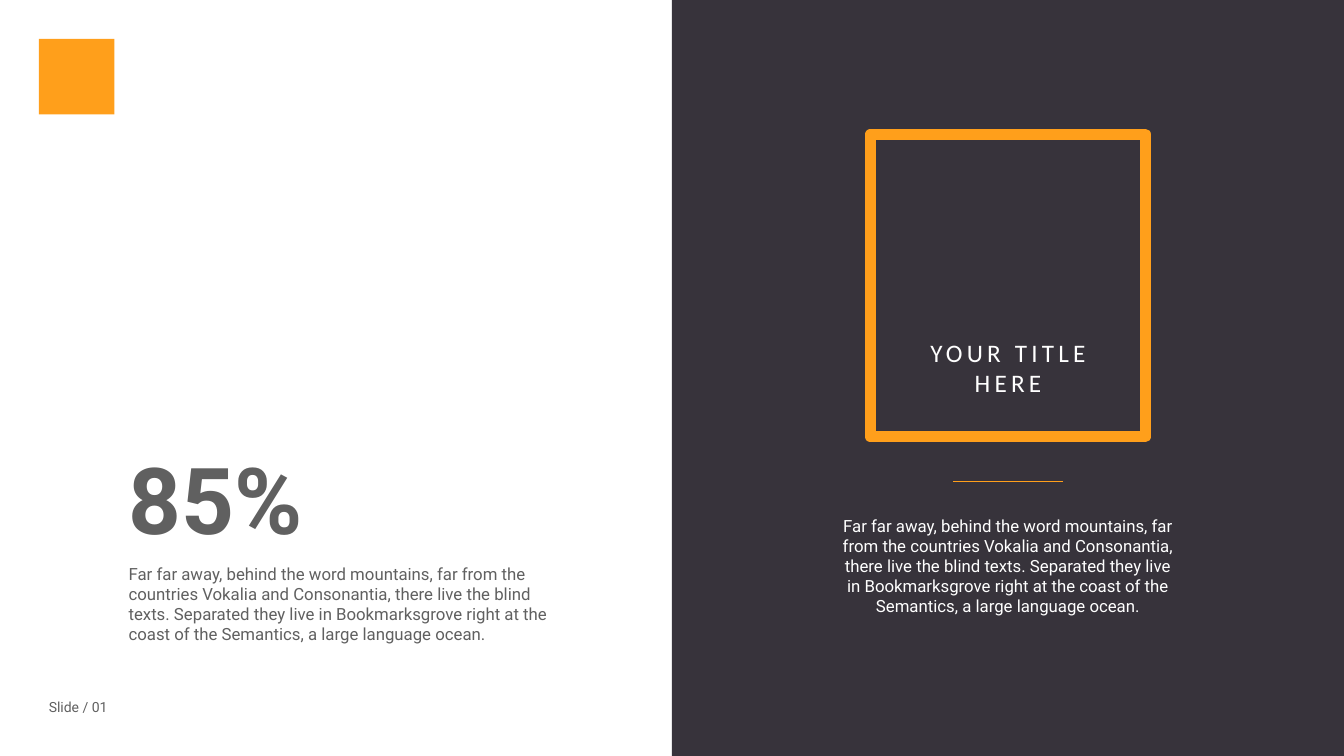
import lxml.etree
import pptx
import pptx.dml.color
import pptx.enum.shapes
import pptx.enum.text
import pptx.oxml.ns
import pptx.util
from dataclasses import dataclass

EMU_PER_PX = 9525
STORY = (
    "Far far away, behind the word mountains, far from the countries Vokalia and "
    "Consonantia, there live the blind texts. Separated they live in Bookmarksgrove "
    "right at the coast of the Semantics, a large language ocean."
)


@dataclass(frozen=True)
class Theme:
    white: str = "FFFFFF"
    dark: str = "37333B"
    accent: str = "FF9F1B"
    grey: str = "606060"
    heading_font: str = "Calibri"
    text_font: str = "Roboto"
    figure_size: int = 66
    title_size: int = 18
    body_size: int = 12
    label_size: int = 10
    title_spacing: int = 300
    frame_width: int = 8
    rule_width: float = 0.5


@dataclass(frozen=True)
class Box:
    left: int
    top: int
    width: int
    height: int

    def inner(self, left, top, width, height):
        return Box(self.left + left, self.top + top, width, height)

    def centred(self, top, width, height):
        return self.inner((self.width - width) // 2, top, width, height)

    def emu(self):
        return [px(n) for n in (self.left, self.top, self.width, self.height)]


THEME = Theme()
ALIGN = pptx.enum.text.PP_ALIGN


def px(length):
    return pptx.util.Emu(length * EMU_PER_PX)


def colour(code):
    return pptx.dml.color.RGBColor.from_string(code)


def add_rectangle(page, box, fill=None, line=None):
    shape = page.shapes.add_shape(pptx.enum.shapes.MSO_SHAPE.RECTANGLE, *box.emu())
    shape.shadow.inherit = False
    if fill:
        shape.fill.solid()
        shape.fill.fore_color.rgb = colour(fill)
    else:
        shape.fill.background()
    if line:
        shape.line.color.rgb = colour(line)
        shape.line.width = pptx.util.Pt(THEME.frame_width)
    else:
        shape.line.fill.background()
    return shape


def add_rule(page, box):
    left, top, width, height = box.emu()
    rule = page.shapes.add_connector(
        pptx.enum.shapes.MSO_CONNECTOR.STRAIGHT, left, top, left + width, top + height
    )
    rule.line.color.rgb = colour(THEME.accent)
    rule.line.width = pptx.util.Pt(THEME.rule_width)
    properties = rule.element.find(pptx.oxml.ns.qn("p:spPr"))
    lxml.etree.SubElement(properties, pptx.oxml.ns.qn("a:effectLst"))


def write(shape, text, size, ink, font=THEME.text_font, align=ALIGN.LEFT,
          bold=False, wrap=True, spacing=0):
    frame = shape.text_frame
    frame.text = text
    frame.word_wrap = wrap
    frame.auto_size = pptx.enum.text.MSO_AUTO_SIZE.SHAPE_TO_FIT_TEXT
    frame.vertical_anchor = pptx.enum.text.MSO_ANCHOR.TOP
    for para in frame.paragraphs:
        para.alignment = align
        for span in para.runs:
            span.font.name = font
            span.font.size = pptx.util.Pt(size)
            span.font.bold = bold
            span.font.color.rgb = colour(ink)
            if spacing:
                span.font._element.set("spc", str(spacing))


def add_text(page, box, text, size, ink, **style):
    write(page.shapes.add_textbox(*box.emu()), text, size, ink, **style)


def add_title_panel(page, box):
    panel = add_rectangle(page, box, fill=THEME.dark)
    frame = add_rectangle(page, box.centred(128, 262, 288), line=THEME.accent)
    title = page.shapes.title
    title.element.addprevious(panel.element)
    title.element.addprevious(frame.element)
    title.left, title.top, title.width, title.height = box.centred(316, 202, 68).emu()
    write(title, "YOUR TITLE\nHERE", THEME.title_size, THEME.white,
          font=THEME.heading_font, align=ALIGN.CENTER, wrap=False,
          spacing=THEME.title_spacing)
    add_rule(page, box.centred(458, 104, 0))
    add_text(page, box.centred(486, 340, 107), STORY, THEME.body_size,
             THEME.white, align=ALIGN.CENTER)


def add_figure_panel(page, box):
    add_rectangle(page, box.inner(37, 37, 72, 72), fill=THEME.accent)
    add_text(page, box.inner(113, 416, 187, 116), "85%", THEME.figure_size,
             THEME.grey, bold=True, wrap=False)
    add_text(page, box.inner(113, 532, 442, 87), STORY, THEME.body_size, THEME.grey)
    add_text(page, box.inner(37, 661, 76, 26), "Slide / 01", THEME.label_size,
             THEME.grey, wrap=False)


def main():
    deck = pptx.Presentation()
    deck.slide_width, deck.slide_height = px(1280), px(720)
    page = deck.slides.add_slide(deck.slide_layouts.get_by_name("Title Only"))
    page.background.fill.solid()
    page.background.fill.fore_color.rgb = colour(THEME.white)
    add_figure_panel(page, Box(0, 0, 640, 720))
    add_title_panel(page, Box(640, 0, 640, 720))
    deck.save("out.pptx")


if __name__ == "__main__":
    main()
